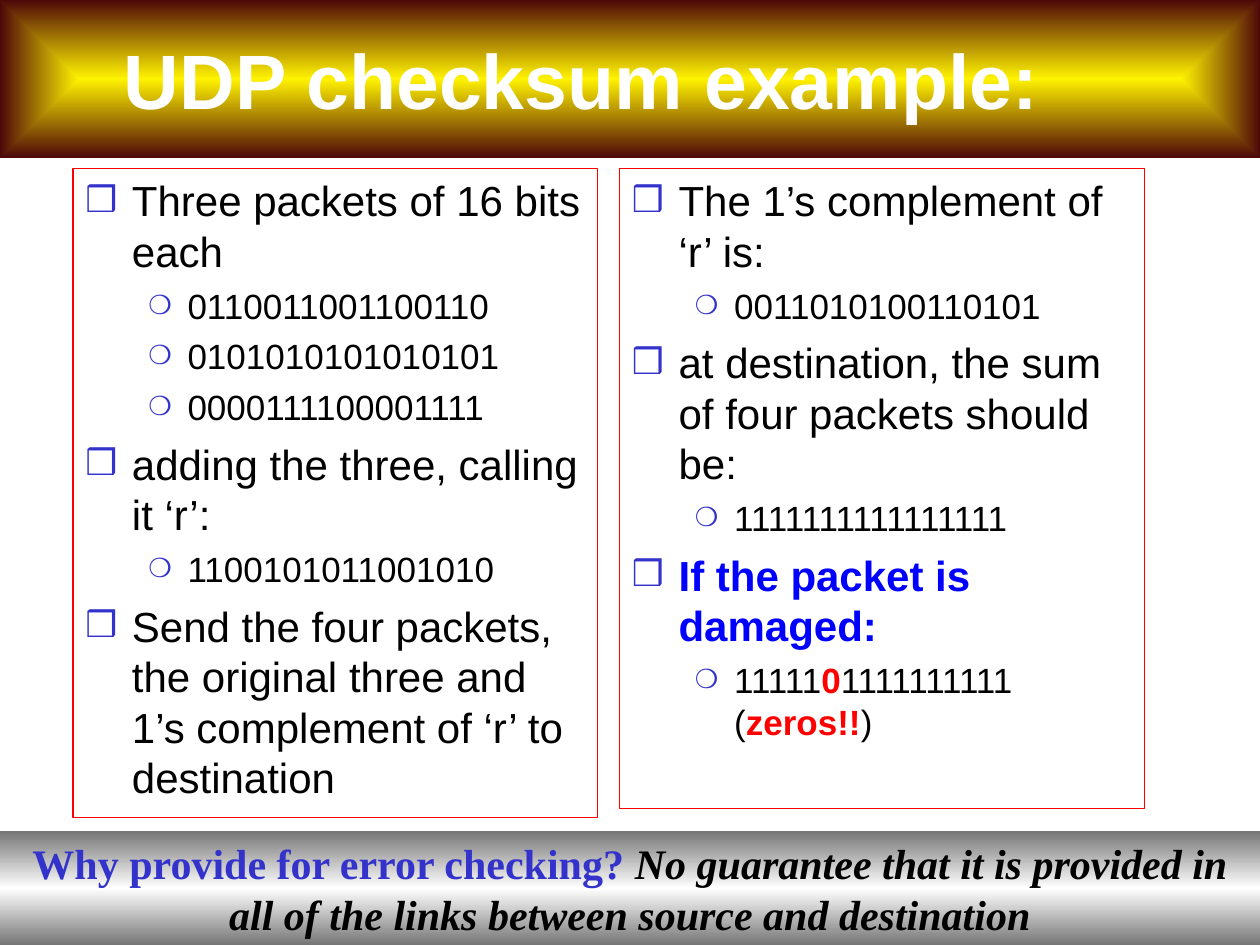
import pptx
import pptx.util
import pptx.dml.color
import pptx.enum.shapes
import pptx.enum.text
import pptx.oxml
import pptx.oxml.ns
from lxml import etree

Cm, Pt = pptx.util.Cm, pptx.util.Pt
Anchor = pptx.enum.text.MSO_ANCHOR
Align = pptx.enum.text.PP_ALIGN

COLORS = {
    "white": "FFFFFF", "black": "000000", "red": "FF0000", "blue": "0000FF",
    "accent": "3333CC", "gold": "FFF200", "maroon": "4D0808", "grey": "767676",
}

# Character formats: font attributes plus a colour key
FORMATS = {
    "title": {"name": "Arial", "size": Pt(44), "bold": True, "color": "white"},
    "item": {"name": "Arial", "size": Pt(24), "bold": False, "color": "black"},
    "bits": {"name": "Arial", "size": Pt(20), "bold": False, "color": "black"},
    "warning": {"name": "Arial", "size": Pt(24), "bold": True, "color": "blue"},
    "error": {"name": "Arial", "size": Pt(20), "bold": True, "color": "red"},
    "question": {"name": "Times New Roman", "size": Pt(24), "bold": True, "color": "accent"},
    "answer": {"name": "Times New Roman", "size": Pt(24), "bold": True, "italic": True,
               "color": "black"},
}

# List levels: bullet, its size in percent, indents in cm, space before in points
LEVELS = [
    {"bullet": "❒", "percent": 85, "left": 0.94, "hanging": 0.94, "before": 6},
    {"bullet": "❍", "percent": 75, "left": 2.06, "hanging": 0.79, "before": 5},
]

PATH_TO_CENTER = ('<a:path {ns} path="rect"><a:fillToRect l="50000" t="50000" '
                  'r="50000" b="50000"/></a:path>')
DOWNWARD = '<a:lin {ns} ang="5400000" scaled="0"/>'


def rgb(key):
    return pptx.dml.color.RGBColor.from_string(COLORS[key])


def element(xml):
    return pptx.oxml.parse_xml(xml.format(ns=pptx.oxml.ns.nsdecls("a")))


class ChecksumSlide:
    def __init__(self, presentation):
        self.slide = presentation.slides.add_slide(presentation.slide_layouts[3])
        self.title_holder, *self.list_holders = self.slide.placeholders

    def place(self, shape, left, top, width, height):
        for side, length in {"left": left, "top": top,
                             "width": width, "height": height}.items():
            setattr(shape, side, Cm(length))

    def frame(self, shape, **values):
        defaults = {"word_wrap": True, "auto_size": pptx.enum.text.MSO_AUTO_SIZE.NONE,
                    "vertical_anchor": Anchor.TOP,
                    "margin_left": Cm(0.25), "margin_right": Cm(0.25),
                    "margin_top": Cm(0.13), "margin_bottom": Cm(0.13)}
        for attribute, value in {**defaults, **values}.items():
            setattr(shape.text_frame, attribute, value)
        return shape.text_frame

    def gradient(self, shape, stops, direction):
        shape.fill.gradient()
        fill = shape.element.spPr.find(pptx.oxml.ns.qn("a:gradFill"))
        for child in list(fill):
            fill.remove(child)
        stop_list = etree.SubElement(fill, pptx.oxml.ns.qn("a:gsLst"))
        for percent, key in stops:
            stop = etree.SubElement(stop_list, pptx.oxml.ns.qn("a:gs"), pos=str(percent * 1000))
            etree.SubElement(stop, pptx.oxml.ns.qn("a:srgbClr"), val=COLORS[key])
        fill.append(element(direction))

    def runs(self, paragraph, parts):
        for text, style in parts:
            run = paragraph.add_run()
            run.text = text
            for attribute, value in FORMATS[style].items():
                if attribute == "color":
                    run.font.color.rgb = rgb(value)
                else:
                    setattr(run.font, attribute, value)

    def title(self, box, text):
        shape = self.title_holder
        self.place(shape, *box)
        self.gradient(shape, [(0, "gold"), (100, "maroon")], PATH_TO_CENTER)
        # The wide right margin moves the centred title to the left
        frame = self.frame(shape, vertical_anchor=Anchor.MIDDLE, margin_right=Cm(2.2))
        frame.paragraphs[0].alignment = Align.CENTER
        self.runs(frame.paragraphs[0], [(text, "title")])

    def bullet(self, paragraph, level):
        style = LEVELS[level]
        properties = paragraph._p.get_or_add_pPr()
        properties.set("marL", str(Cm(style["left"])))
        properties.set("indent", str(-Cm(style["hanging"])))
        for xml in (f'<a:buClr {{ns}}><a:srgbClr val="{COLORS["accent"]}"/></a:buClr>',
                    f'<a:buSzPct {{ns}} val="{style["percent"] * 1000}"/>',
                    f'<a:buChar {{ns}} char="{style["bullet"]}"/>'):
            properties.append(element(xml))

    def bullet_list(self, holder, box, items):
        self.place(holder, *box)
        holder.fill.solid()
        holder.fill.fore_color.rgb = rgb("white")
        holder.line.color.rgb = rgb("red")
        holder.line.width = Pt(0.75)
        frame = self.frame(holder)
        for index, (level, parts) in enumerate(items):
            paragraph = frame.add_paragraph() if index else frame.paragraphs[0]
            paragraph.level = level
            self.bullet(paragraph, level)
            paragraph.space_before = Pt(LEVELS[level]["before"] if index else 0)
            self.runs(paragraph, parts)

    def band(self, box, parts):
        shape = self.slide.shapes.add_shape(
            pptx.enum.shapes.MSO_SHAPE.RECTANGLE, *map(Cm, box))
        shape.shadow.inherit = False
        shape.line.fill.background()
        self.gradient(shape, [(0, "grey"), (50, "white"), (100, "grey")], DOWNWARD)
        frame = self.frame(shape)
        frame.paragraphs[0].alignment = Align.CENTER
        self.runs(frame.paragraphs[0], parts)


def item(text, style="item"):
    return 0, [(text, style)]


def bits(text):
    return 1, [(text, "bits")]


def main():
    presentation = pptx.Presentation()
    presentation.slide_width, presentation.slide_height = Cm(25.4), Cm(19.05)
    page = ChecksumSlide(presentation)

    # Title
    page.title((0, 0, 25.4, 3.18), "UDP checksum example:")

    # Sender and receiver columns
    sender = [
        item("Three packets of 16 bits each"),
        bits("0110011001100110"),
        bits("0101010101010101"),
        bits("0000111100001111"),
        item("adding the three, calling it ‘r’:"),
        bits("1100101011001010"),
        item("Send the four packets, the original three and 1’s complement of ‘r’ to destination"),
    ]
    receiver = [
        item("The 1’s complement of ‘r’ is:"),
        bits("0011010100110101"),
        item("at destination, the sum of four packets should be:"),
        bits("1111111111111111"),
        item("If the packet is damaged:", "warning"),
        (1, [("11111", "bits"), ("0", "error"), ("1111111111 (", "bits"),
             ("zeros!!", "error"), (")", "bits")]),
    ]
    columns = [(1.47, 13.09, sender), (12.49, 12.91, receiver)]
    for holder, (left, height, items) in zip(page.list_holders, columns):
        page.bullet_list(holder, (left, 3.39, 10.58, height), items)

    # Closing question
    page.band((0, 16.76, 25.4, 2.29), [
        ("Why provide for error checking? ", "question"),
        ("No guarantee that it is provided in all of the links between source and destination",
         "answer"),
    ])

    presentation.save("out.pptx")


if __name__ == "__main__":
    main()
